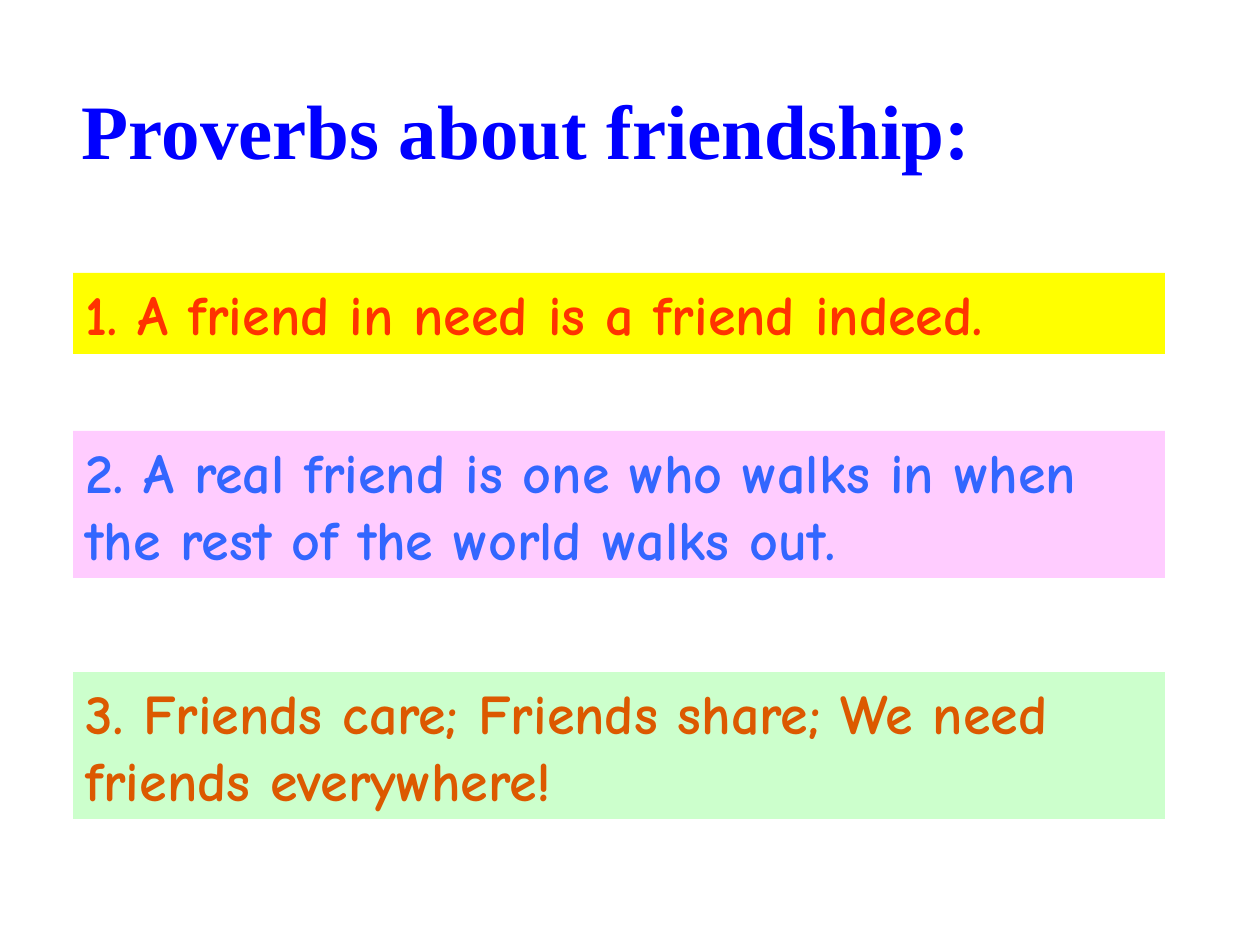
from dataclasses import dataclass

from pptx import Presentation
from pptx.dml.color import RGBColor
from pptx.enum.shapes import MSO_SHAPE
from pptx.enum.text import MSO_ANCHOR, MSO_AUTO_SIZE, PP_ALIGN
from pptx.util import Emu, Pt

RECTANGLE = MSO_SHAPE.RECTANGLE
TOP = MSO_ANCHOR.TOP
FIT_SHAPE = MSO_AUTO_SIZE.SHAPE_TO_FIT_TEXT
LEFT = PP_ALIGN.LEFT
PX_PER_INCH = 126


@dataclass(frozen=True)
class Theme:
    title_font: str = "Times New Roman"
    title_size: int = 44
    title_color: str = "0000FF"
    proverb_font: str = "Comic Neue"
    proverb_size: int = 32
    # Fill and text colour of each proverb band
    bands: tuple = (
        ("FFFF00", "FF3300"),
        ("FFCCFF", "3366FF"),
        ("CCFFCC", "DC5900"),
    )


THEME = Theme()
TITLE = "Proverbs about friendship:"
# Top offset and height within the list, then the wording
PROVERBS = (
    (0, 81, "1. A friend in need is a friend indeed."),
    (158, 147, "2. A real friend is one who walks in when the rest of the world walks out."),
    (399, 147, "3. Friends care; Friends share; We need friends everywhere!"),
)


def px(length):
    return Emu(round(length * 914400 / PX_PER_INCH))


def write_text(shape, text, font_name, size, color):
    frame = shape.text_frame
    frame.word_wrap = True
    frame.auto_size = FIT_SHAPE
    frame.vertical_anchor = TOP
    para = frame.paragraphs[0]
    para.text = text
    para.alignment = LEFT
    para.font.name = font_name
    para.font.size = Pt(size)
    para.font.bold = True
    para.font.color.rgb = RGBColor.from_string(color)


def add_title(page, left, top, width, height):
    box = page.shapes.add_textbox(px(left), px(top), px(width), px(height))
    write_text(box, TITLE, THEME.title_font, THEME.title_size, THEME.title_color)
    box.text_frame.margin_left = px(32)


def add_proverbs(page, left, top, width):
    for (offset, height, text), (fill, color) in zip(PROVERBS, THEME.bands):
        band = page.shapes.add_shape(
            RECTANGLE, px(left), px(top + offset), px(width), px(height))
        band.shadow.inherit = False
        band.fill.solid()
        band.fill.fore_color.rgb = RGBColor.from_string(fill)
        band.line.fill.background()
        write_text(band, text, THEME.proverb_font, THEME.proverb_size, color)


def main():
    deck = Presentation()
    deck.slide_width = px(1260)
    deck.slide_height = px(945)
    page = deck.slides.add_slide(deck.slide_layouts[6])
    # Proverb bands, then the heading above them
    add_proverbs(page, left=73, top=273, width=1092)
    add_title(page, left=50, top=76, width=1047, height=106)
    deck.save("out.pptx")


if __name__ == "__main__":
    main()
